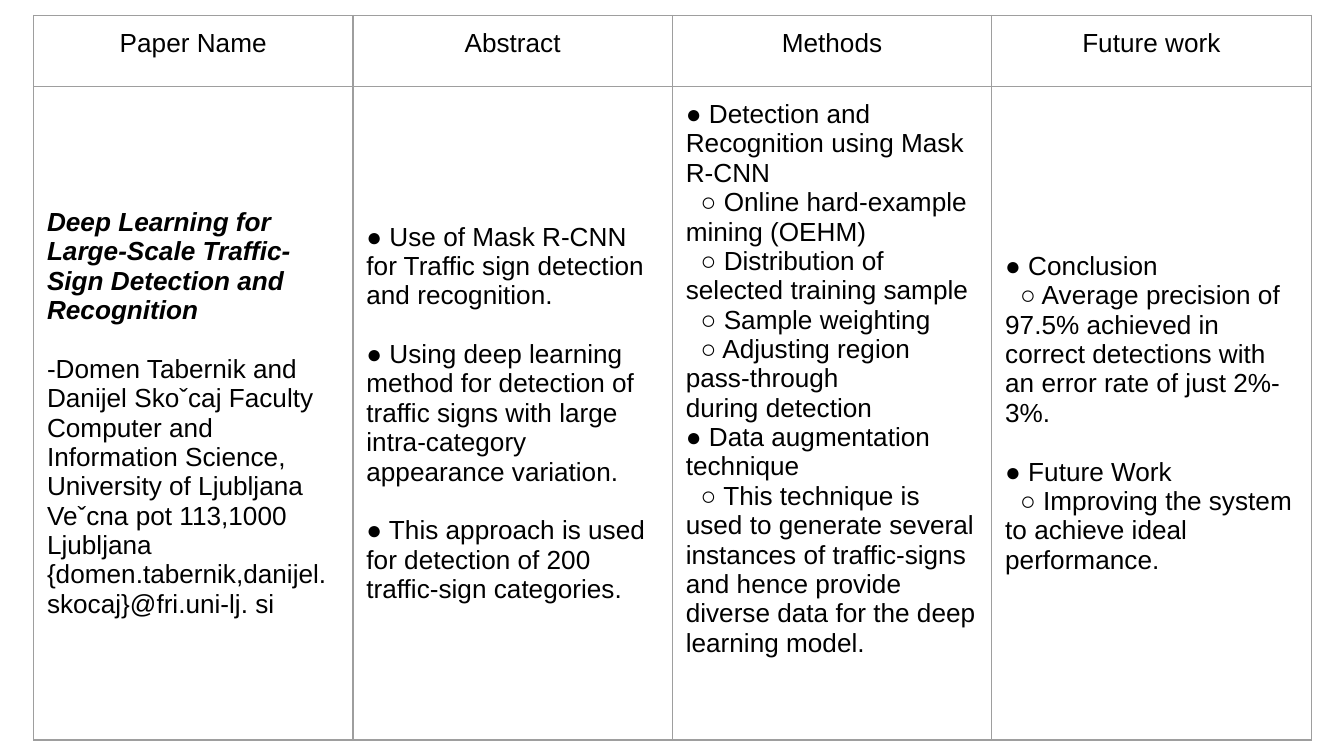
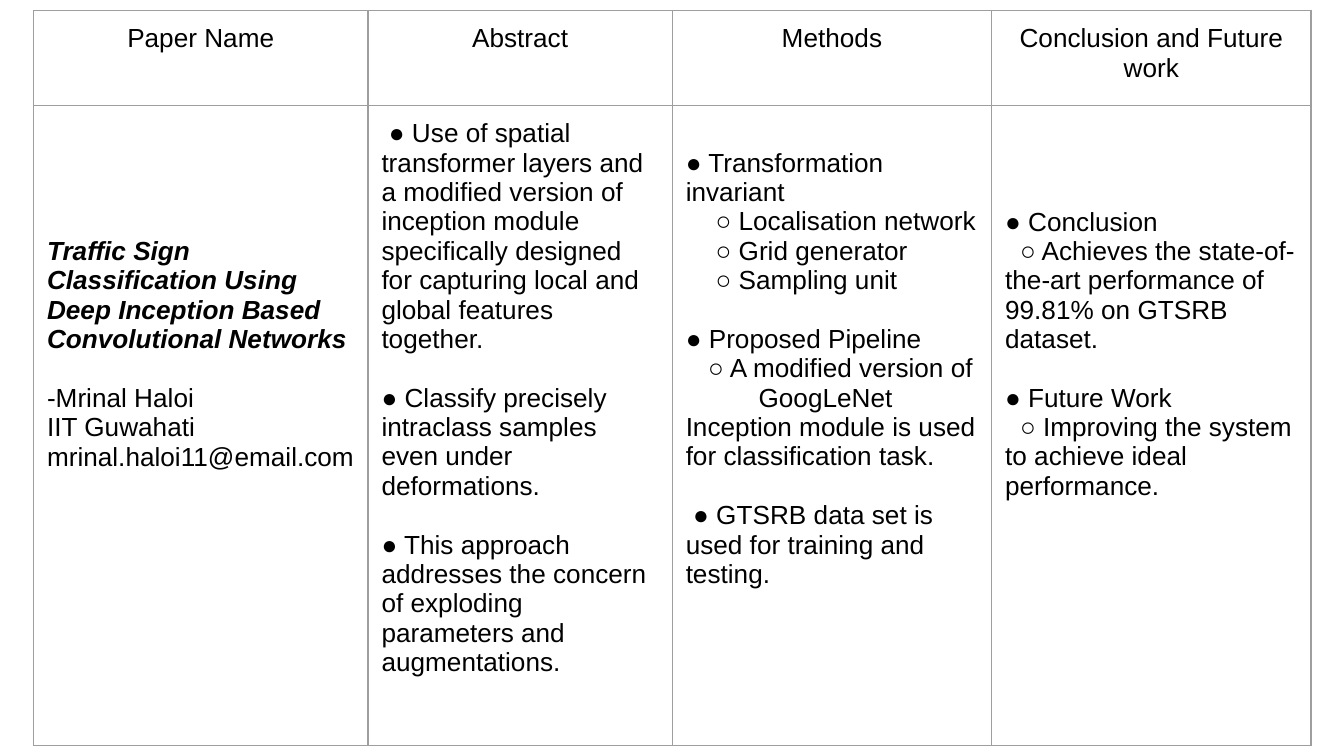
from lxml.etree import SubElement
from pptx import Presentation
from pptx.dml.color import RGBColor
from pptx.enum.text import MSO_ANCHOR, PP_ALIGN
from pptx.oxml.ns import qn
from pptx.util import Pt

hues = {"text": "000000", "rule": "9E9E9E"}
font = "Arial"
size = 14
line = 15.75
inset = 7.2
left = 18
heads = ["Paper Name", "Abstract", "Methods"]
future = [
    (0, 1, "● Future Work"),
    (8, 0, "○ Improving the system to achieve ideal performance."),
]

# Body lines hold: first-line indent, blank lines above, text.
pages = [
    {
        "top": 8.3,
        "cols": [171.1] * 4,
        "rows": [38, 350.2],
        "last": "Future work",
        "mid": [True, True, False, True],
        "lead": [0, 0, 0, 0],
        "body": [
            [
                (0, 0, "Deep Learning for Large-Scale Traffic-Sign Detection and Recognition"),
                (0, 1, "-Domen Tabernik and Danijel Skoˇcaj Faculty Computer and Information "
                       "Science, University of Ljubljana Veˇcna pot 113,1000 Ljubljana "
                       "{domen.tabernik,danijel.skocaj}@fri.uni-lj. si"),
            ],
            [
                (0, 0, "● Use of Mask R-CNN for Traffic sign detection and recognition."),
                (0, 1, "● Using deep learning method for detection of traffic signs with "
                       "large intra-category appearance variation."),
                (0, 1, "● This approach is used for detection of 200 traffic-sign categories."),
            ],
            [
                (0, 0, "● Detection and Recognition using Mask R-CNN"),
                (8, 0, "○ Online hard-example mining (OEHM)"),
                (8, 0, "○ Distribution of selected training sample"),
                (8, 0, "○ Sample weighting"),
                (8, 0, "○ Adjusting region pass-through"),
                (0, 0, "during detection"),
                (0, 0, "● Data augmentation technique"),
                (8, 0, "○ This technique is used to generate several instances of "
                       "traffic-signs and hence provide diverse data for the deep "
                       "learning model."),
            ],
            [
                (0, 0, "● Conclusion"),
                (8, 0, "○ Average precision of 97.5% achieved in correct detections with "
                       "an error rate of just 2%-3%."),
                *future,
            ],
        ],
    },
    {
        "top": 5.6,
        "cols": [179.2, 163, 171.1, 171.1],
        "rows": [51, 342.8],
        "last": "Conclusion and Future work",
        "mid": [False] * 4,
        "lead": [4, 0, 1, 3],
        "body": [
            [
                (0, 0, "Traffic Sign Classification Using Deep Inception Based "
                       "Convolutional Networks"),
                (0, 1, "-Mrinal Haloi"),
                (0, 0, "IIT Guwahati"),
                (0, 0, "mrinal.haloi11@email.com"),
            ],
            [
                (4, 0, "● Use of spatial transformer layers and a modified version of "
                       "inception module specifically designed for capturing local and "
                       "global features together."),
                (0, 1, "● Classify precisely intraclass samples even under deformations."),
                (0, 1, "● This approach"),
                (0, 0, "addresses the concern of exploding parameters and augmentations."),
            ],
            [
                (0, 0, "● Transformation invariant"),
                (16, 0, "○ Localisation network"),
                (16, 0, "○ Grid generator"),
                (16, 0, "○ Sampling unit"),
                (0, 1, "● Proposed Pipeline"),
                (12, 0, "○ A modified version of"),
                (39, 0, "GoogLeNet"),
                (0, 0, "Inception module is used for classification task."),
                (4, 1, "● GTSRB data set is used for training and testing."),
            ],
            [
                (0, 0, "● Conclusion"),
                (8, 0, "○ Achieves the state-of-the-art performance of 99.81% on GTSRB "
                       "dataset."),
                *future,
            ],
        ],
    },
]


def frame(cell, lead, mid):
    cell.margin_left = cell.margin_right = cell.margin_bottom = Pt(inset)
    cell.margin_top = Pt(inset + lead * line)
    cell.vertical_anchor = MSO_ANCHOR.MIDDLE if mid else MSO_ANCHOR.TOP
    props = cell._tc.get_or_add_tcPr()
    for side in ("a:lnL", "a:lnR", "a:lnT", "a:lnB"):
        edge = SubElement(props, qn(side), w=str(Pt(0.75)))
        fill = SubElement(edge, qn("a:solidFill"))
        SubElement(fill, qn("a:srgbClr"), val=hues["rule"])
    cell.fill.background()


def write(para, text, bold=False):
    para.text = text
    face = para.runs[0].font
    face.name = font
    face.size = Pt(size)
    face.bold = face.italic = bold
    face.color.rgb = RGBColor.from_string(hues["text"])


deck = Presentation()
deck.slide_width = Pt(720)
deck.slide_height = Pt(405)

for page in pages:
    slide = deck.slides.add_slide(deck.slide_layouts[6])
    cols, rows = page["cols"], page["rows"]
    table = slide.shapes.add_table(
        2, 4, Pt(left), Pt(page["top"]), Pt(sum(cols)), Pt(sum(rows))
    ).table
    table.first_row = False
    table.horz_banding = False
    for row, height in zip(table.rows, rows):
        row.height = Pt(height)
    for col, width in enumerate(cols):
        table.columns[col].width = Pt(width)

    for col, head in enumerate(heads + [page["last"]]):
        cell = table.cell(0, col)
        frame(cell, 0, False)
        para = cell.text_frame.paragraphs[0]
        write(para, head)
        para.alignment = PP_ALIGN.CENTER

    for col, items in enumerate(page["body"]):
        cell = table.cell(1, col)
        frame(cell, page["lead"][col], page["mid"][col])
        body = cell.text_frame
        for num, (indent, gap, text) in enumerate(items):
            para = body.add_paragraph() if num else body.paragraphs[0]
            write(para, text, col == 0 and num == 0)
            if gap:
                para.space_before = Pt(gap * line)
            if indent:
                props = para._p.get_or_add_pPr()
                props.set("marL", "0")
                props.set("indent", str(Pt(indent)))

deck.save("out.pptx")
